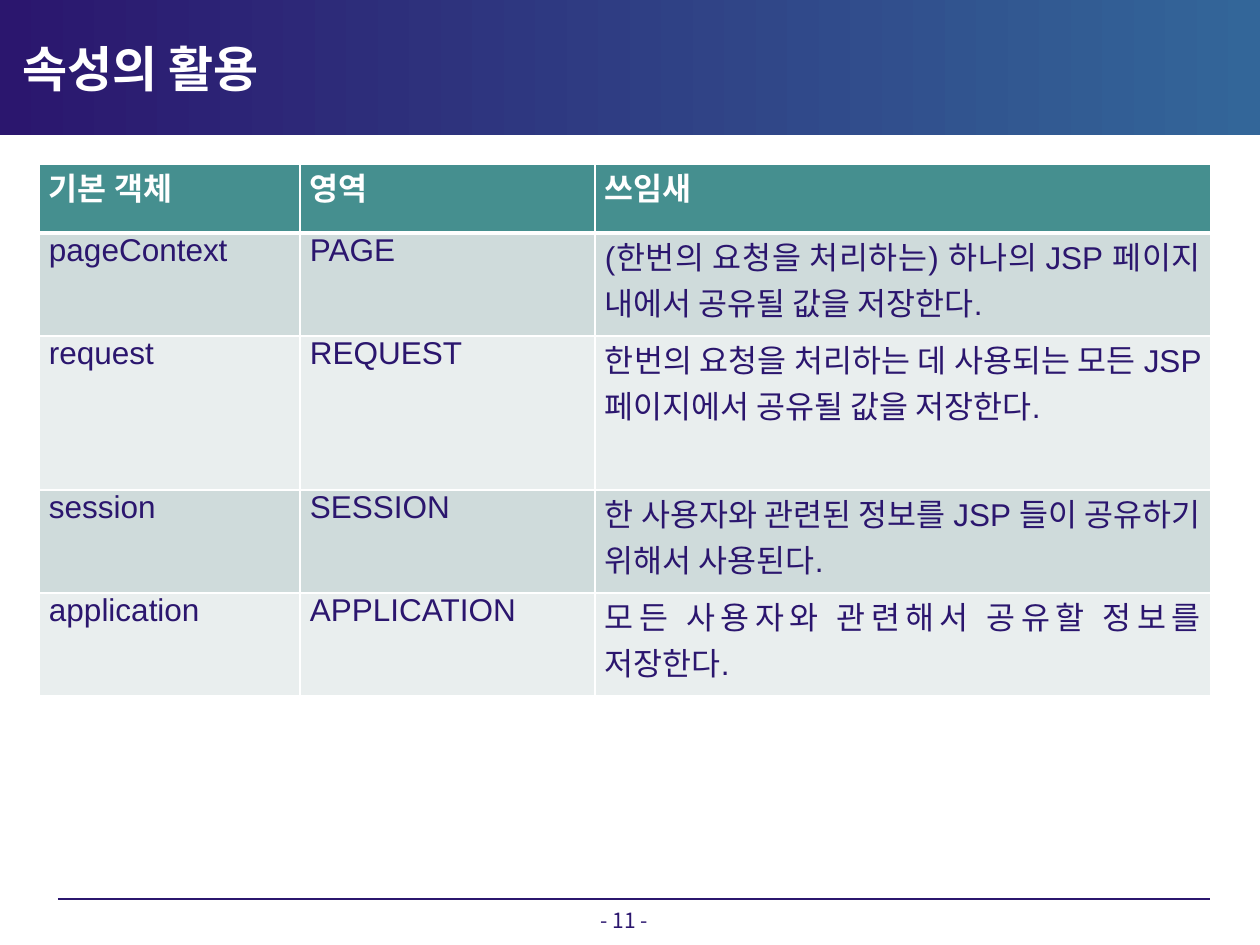
from dataclasses import dataclass

from lxml.etree import SubElement
from pptx import Presentation
from pptx.dml.color import RGBColor
from pptx.enum.shapes import MSO_CONNECTOR, MSO_SHAPE
from pptx.enum.text import MSO_ANCHOR, MSO_AUTO_SIZE, PP_ALIGN
from pptx.oxml.ns import qn
from pptx.util import Emu, Pt


@dataclass(frozen=True)
class Theme:
    """Colours, fonts and type sizes."""
    ink: str = "2B166E"
    blue: str = "336699"
    white: str = "FFFFFF"
    teal: str = "458F8F"
    bands: tuple = ("CFDBDB", "E9EEEE")
    latin: str = "Arial"
    hangul: str = "Noto Sans CJK KR"
    title: int = 28
    body: int = 18
    foot: int = 12


THEME = Theme()
SCALE = 914400 // 126
COLS = (261, 295, 616)
ROWS = (69, 103, 154, 103, 103)
CELLS = (
    ("기본 객체", "영역", "쓰임새"),
    ("pageContext", "PAGE",
     "(한번의 요청을 처리하는) 하나의 JSP 페이지 내에서 공유될 값을 저장한다."),
    ("request", "REQUEST",
     "한번의 요청을 처리하는 데 사용되는 모든 JSP 페이지에서 공유될 값을 저장한다."),
    ("session", "SESSION",
     "한 사용자와 관련된 정보를 JSP 들이 공유하기 위해서 사용된다."),
    ("application", "APPLICATION",
     "모든 사용자와 관련해서 공유할 정보를 저장한다."),
)


def px(*vals):
    """Turn pixels into EMU lengths."""
    return [Emu(val * SCALE) for val in vals]


def rgb(code):
    """Give the colour of a hex code."""
    return RGBColor.from_string(code)


def add_run(para, text, size, color, face, bold=False):
    """Add one styled run to a paragraph."""
    run = para.add_run()
    run.text = text
    font = run.font
    font.size, font.bold, font.name = Pt(size), bold, face
    font.color.rgb = rgb(color)
    east = SubElement(font._element, qn("a:ea"))
    east.set("typeface", THEME.hangul)


def set_frame(frame, align, anchor):
    """Set wrap, alignment and anchor of a text frame."""
    frame.word_wrap = True
    frame.auto_size = MSO_AUTO_SIZE.NONE
    frame.vertical_anchor = anchor
    frame.paragraphs[0].alignment = align
    return frame.paragraphs[0]


def add_title(slide, text):
    """Place and fill the title placeholder."""
    title = slide.shapes.title
    title.left, title.top, title.width, title.height = px(10, 29, 945, 78)
    para = set_frame(title.text_frame, PP_ALIGN.LEFT, MSO_ANCHOR.MIDDLE)
    add_run(para, text, THEME.title, THEME.white, THEME.hangul, True)


def add_band(slide):
    """Draw the gradient band behind the title."""
    band = slide.shapes.add_shape(MSO_SHAPE.RECTANGLE, *px(0, 0, 1260, 135))
    band.shadow.inherit = False
    band.line.fill.background()
    band.fill.gradient()
    band.fill.gradient_angle = 0
    for stop, color in zip(band.fill.gradient_stops, (THEME.ink, THEME.blue)):
        stop.color.rgb = rgb(color)
    slide.shapes.title.element.addprevious(band.element)


def add_foot(slide, text):
    """Draw the rule and the page number."""
    rule = slide.shapes.add_connector(
        MSO_CONNECTOR.STRAIGHT, *px(58, 899, 1210, 899))
    rule.line.color.rgb = rgb(THEME.ink)
    rule.line.width = Pt(0.75)
    SubElement(rule.element.spPr, qn("a:effectLst"))
    frame = slide.shapes.add_textbox(*px(501, 906, 247, 28)).text_frame
    frame.margin_top = frame.margin_bottom = 0
    para = set_frame(frame, PP_ALIGN.CENTER, MSO_ANCHOR.MIDDLE)
    add_run(para, text, THEME.foot, THEME.ink, THEME.hangul)


def set_edges(cell, top, base):
    """Give a cell white borders of the stated point widths."""
    props = cell._tc.get_or_add_tcPr()
    for side, width in zip("LRTB", (1, 1, top, base)):
        edge = SubElement(props, qn(f"a:ln{side}"), w=str(Pt(width)))
        fill = SubElement(edge, qn("a:solidFill"))
        SubElement(fill, qn("a:srgbClr"), val=THEME.white)


def fill_cell(cell, text, row):
    """Style one cell by its row and write its text."""
    head = row == 0
    set_edges(cell, 3 if row == 1 else 1, 3 if head else 1)
    cell.fill.solid()
    cell.fill.fore_color.rgb = rgb(
        THEME.teal if head else THEME.bands[(row - 1) % 2])
    cell.margin_left, cell.margin_right = px(10, 10)
    cell.margin_top = cell.margin_bottom = 0
    para = cell.text_frame.paragraphs[0]
    para.alignment = PP_ALIGN.JUSTIFY
    color = THEME.white if head else THEME.ink
    add_run(para, text, THEME.body, color, THEME.latin, head)


def add_grid(slide):
    """Build the table of implicit objects and scopes."""
    grid = slide.shapes.add_table(
        len(ROWS), len(COLS), *px(39, 164, sum(COLS), sum(ROWS))).table
    for col, width in zip(grid.columns, px(*COLS)):
        col.width = width
    for row, height in zip(grid.rows, px(*ROWS)):
        row.height = height
    for row, texts in enumerate(CELLS):
        for col, text in enumerate(texts):
            fill_cell(grid.cell(row, col), text, row)


def main():
    """Build and save the slide."""
    deck = Presentation()
    deck.slide_width, deck.slide_height = px(1260, 945)
    slide = deck.slides.add_slide(deck.slide_layouts[5])
    add_band(slide)
    add_title(slide, "속성의 활용")
    add_grid(slide)
    add_foot(slide, "- 11 -")
    deck.save("out.pptx")


main()
